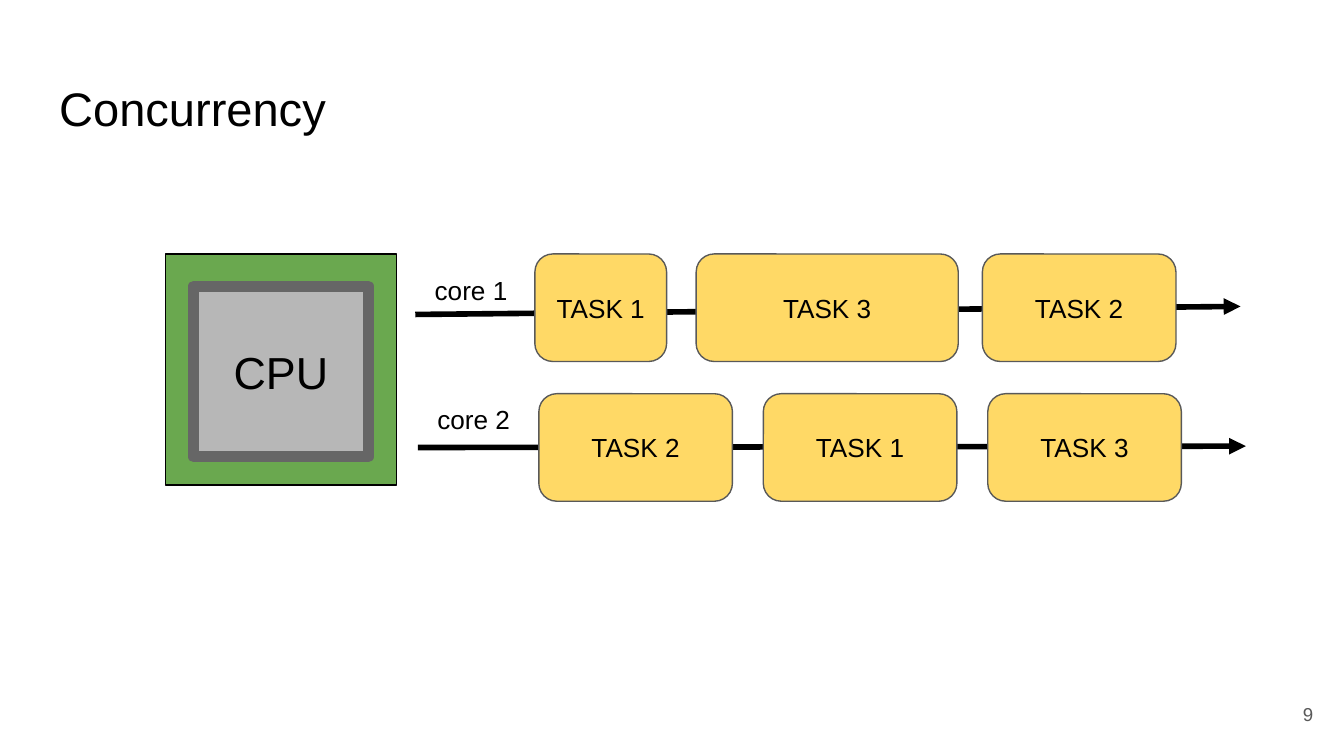
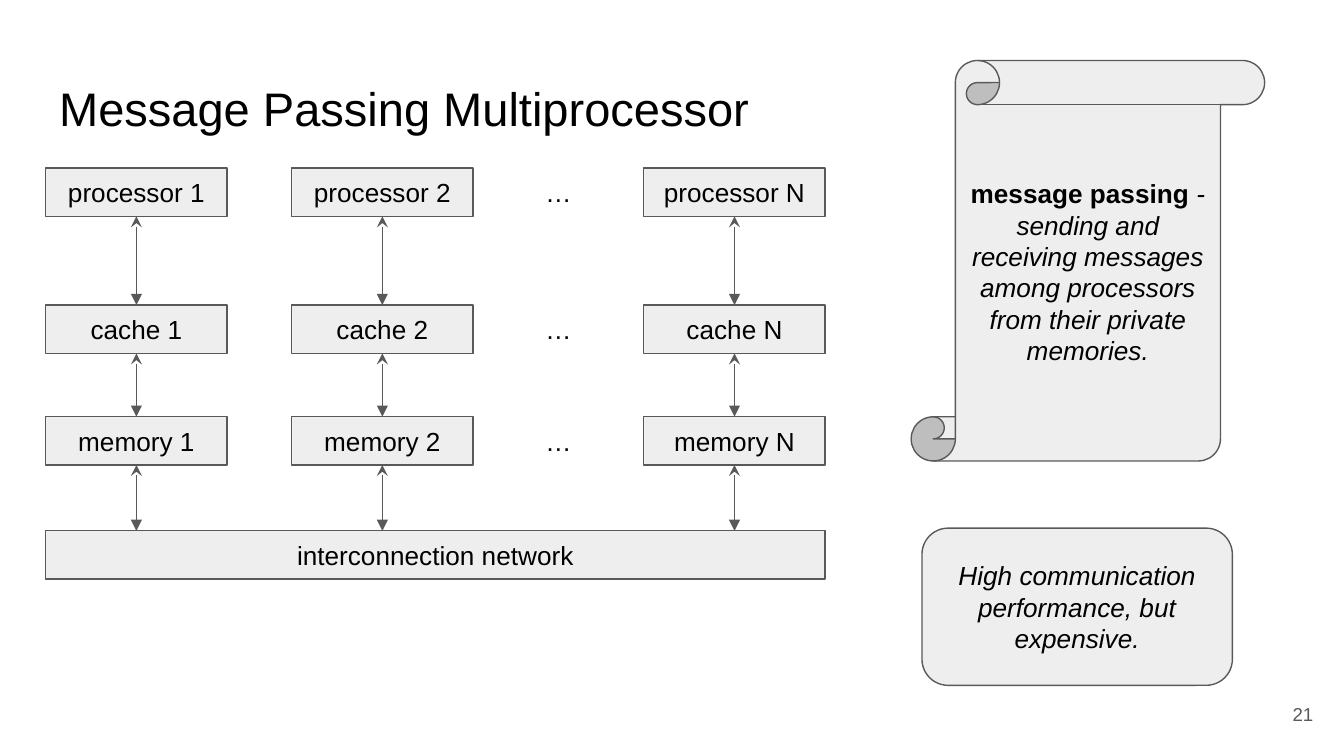
from lxml import etree
from pptx import Presentation
from pptx.dml.color import RGBColor
from pptx.enum.shapes import MSO_CONNECTOR, MSO_SHAPE
from pptx.enum.text import MSO_ANCHOR, MSO_AUTO_SIZE, PP_ALIGN
from pptx.oxml.ns import qn
from pptx.util import Inches, Pt

RECT, ROUND = MSO_SHAPE.RECTANGLE, MSO_SHAPE.ROUNDED_RECTANGLE
SCROLL, LINE = MSO_SHAPE.VERTICAL_SCROLL, MSO_CONNECTOR.STRAIGHT
TOP, MID = MSO_ANCHOR.TOP, MSO_ANCHOR.MIDDLE
LEFT, MIDDLE, RIGHT = PP_ALIGN.LEFT, PP_ALIGN.CENTER, PP_ALIGN.RIGHT
FIXED = MSO_AUTO_SIZE.NONE

WIDE = Inches(10)
HIGH = WIDE * 9 // 16
HUES = {
    "ink": "000000", "edge": "595959", "page": "FFFFFF", "pale": "EEEEEE",
    "task": "FFD966", "board": "6AA84F", "chip": "B7B7B7", "rim": "666666",
}
BODY = {"name": "Arial", "size": Pt(14)}

# Content: concurrency
CORES = [
    {"name": "core 1", "label": (3.09, 1.97), "line": (3.09, 2.34, 9.23, 2.28),
     "top": 1.89,
     "tasks": [("TASK 1", 3.98, 0.98), ("TASK 3", 5.18, 1.95), ("TASK 2", 7.31, 1.44)]},
    {"name": "core 2", "label": (3.11, 2.93), "line": (3.11, 3.33, 9.27, 3.32),
     "top": 2.93,
     "tasks": [(f"TASK {n}", 4.01 + 1.67 * i, 1.44) for i, n in enumerate((2, 1, 3))]},
]

# Content: message passing
PARTS = [("processor", 1.25), ("cache", 2.27), ("memory", 3.1)]
UNITS = [("1", 0.34), ("2", 2.17), ("N", 4.79)]
NET = ("interconnection network", 3.95)
UNIT_W, UNIT_H = 1.35, 0.36
TERM = [("message passing", {"bold": True}),
        (" - sending and receiving messages among processors "
         "from their private memories.", {"italic": True})]
NOTE = [("High communication performance, but expensive.", {"italic": True})]


def hue(name):
    return RGBColor.from_string(HUES[name])


def write(shape, runs, align=MIDDLE, anchor=MID, color="ink", **fmt):
    """Fill a shape with one paragraph; runs is a string or (text, format) pairs."""
    frame = shape.text_frame
    setup = {"word_wrap": True, "auto_size": FIXED, "vertical_anchor": anchor}
    for side in ("left", "right", "top", "bottom"):
        setup[f"margin_{side}"] = Inches(0.1)
    for key, val in setup.items():
        setattr(frame, key, val)
    para = frame.paragraphs[0]
    para.alignment = align
    for text, extra in [(runs, {})] if isinstance(runs, str) else runs:
        run = para.add_run()
        run.text = text
        run.font.color.rgb = hue(color)
        for key, val in {**BODY, **fmt, **extra}.items():
            setattr(run.font, key, val)


def box(slide, at, runs="", fill="pale", edge="edge", width=0.75, kind=RECT, **fmt):
    shape = slide.shapes.add_shape(kind, *map(Inches, at))
    shape.shadow.inherit = False
    if fill:
        shape.fill.solid()
        shape.fill.fore_color.rgb = hue(fill)
    else:
        shape.fill.background()
    shape.line.color.rgb = hue(edge)
    shape.line.width = Pt(width)
    if runs:
        write(shape, runs, **fmt)


def label(slide, at, text, **fmt):
    write(slide.shapes.add_textbox(*map(Inches, at)), text, **fmt)


def arrow(slide, ends, color="edge", width=0.75, head=None):
    line = slide.shapes.add_connector(LINE, *map(Inches, ends))
    line.line.color.rgb = hue(color)
    line.line.width = Pt(width)
    props = line._element.spPr
    stroke = props.find(qn("a:ln"))
    if head:
        etree.SubElement(stroke, qn("a:headEnd"), type=head)
    etree.SubElement(stroke, qn("a:tailEnd"), type="triangle")
    etree.SubElement(props, qn("a:effectLst"))


def start(deck, title, page):
    """Add a slide with the shared background, title and page number."""
    slide = deck.slides.add_slide(deck.slide_layouts[5])
    slide.background.fill.solid()
    slide.background.fill.fore_color.rgb = hue("page")
    head = slide.shapes.title
    spot = dict(zip(("left", "top", "width", "height"), (0.34, 0.49, 9.32, 0.63)))
    for key, val in spot.items():
        setattr(head, key, Inches(val))
    write(head, title, LEFT, TOP, size=Pt(25.2))
    label(slide, (9.27, 5.1, 0.6, 0.43), page, align=RIGHT, color="edge", size=Pt(10))
    return slide


def draw_cores(deck):
    slide = start(deck, "Concurrency", "9")
    # Timelines with their tasks on top
    for core in CORES:
        arrow(slide, core["line"], "ink", 3)
        for text, left, width in core["tasks"]:
            box(slide, (left, core["top"], width, 0.8), text, "task", kind=ROUND)
        label(slide, (*core["label"], 0.83, 0.38), core["name"])
    # Processor
    box(slide, (1.23, 1.89, 1.72, 1.72), fill="board", edge="ink")
    box(slide, (1.44, 2.13, 1.3, 1.27), "CPU", "chip", "rim", 6, size=Pt(24))


def draw_network(deck):
    slide = start(deck, "Message Passing Multiprocessor", "21")
    # Grid of units, each joined to the row below
    lower = [top for _, top in PARTS[1:]] + [NET[1]]
    for (part, top), below in zip(PARTS, lower):
        for unit, left in UNITS:
            box(slide, (left, top, UNIT_W, UNIT_H), f"{part} {unit}")
            mid = left + UNIT_W / 2
            arrow(slide, (mid, top + UNIT_H, mid, below), head="stealth")
        box(slide, (3.76, top, 0.79, UNIT_H), "…", None, "page")
    first, last = UNITS[0][1], UNITS[-1][1]
    box(slide, (first, NET[1], last + UNIT_W - first, UNIT_H), NET[0])
    # Definition and remark
    box(slide, (6.78, 0.45, 2.63, 2.98), TERM, kind=SCROLL)
    box(slide, (6.86, 3.93, 2.31, 1.17), NOTE, kind=ROUND)


def main():
    deck = Presentation()
    deck.slide_width, deck.slide_height = WIDE, HIGH
    draw_cores(deck)
    draw_network(deck)
    deck.save("out.pptx")


if __name__ == "__main__":
    main()
